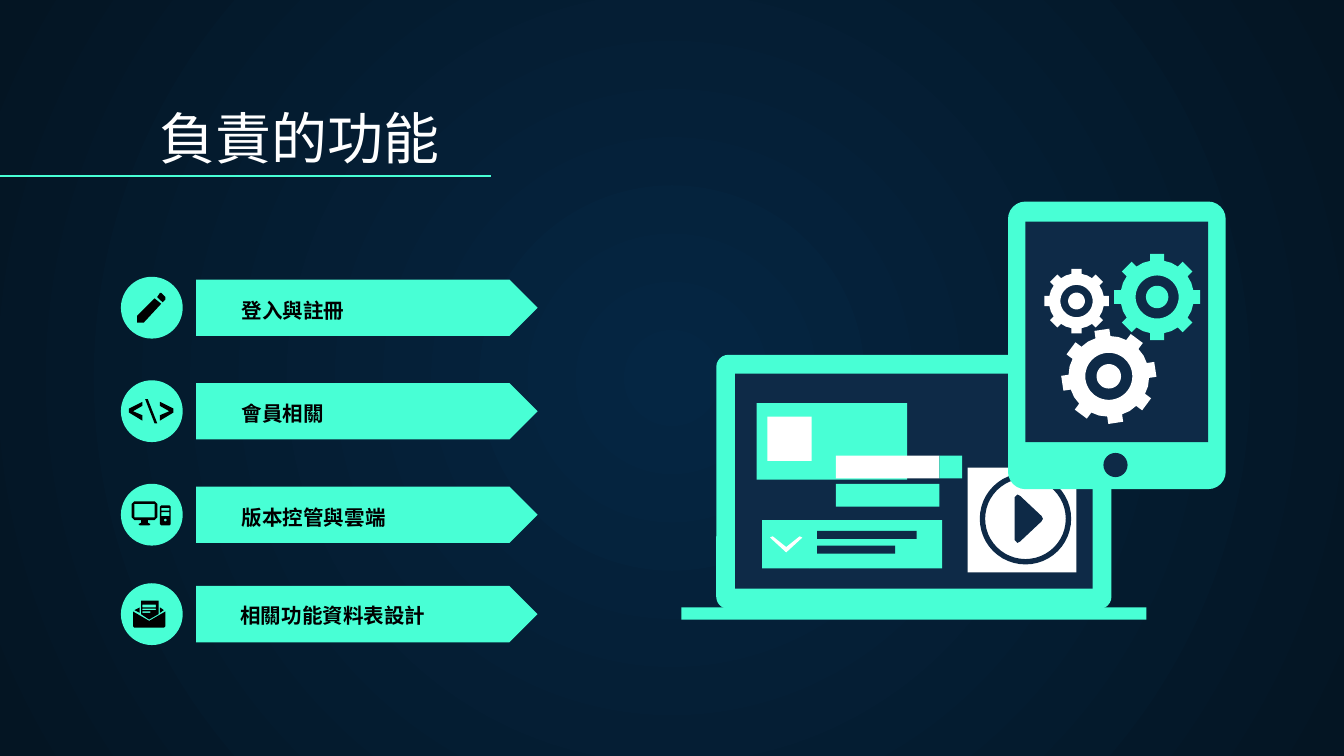
"""Build the slide listing four features beside a laptop and tablet drawing."""
from dataclasses import dataclass
from math import cos, pi, radians, sin

from lxml import etree
from pptx import Presentation
from pptx.dml.color import RGBColor
from pptx.enum.shapes import MSO_CONNECTOR, MSO_SHAPE
from pptx.enum.text import MSO_ANCHOR
from pptx.oxml.ns import qn
from pptx.util import Inches, Pt

RECT = MSO_SHAPE.RECTANGLE
ROUND = MSO_SHAPE.ROUNDED_RECTANGLE
OVAL = MSO_SHAPE.OVAL
PENTAGON = MSO_SHAPE.PENTAGON
STRAIGHT = MSO_CONNECTOR.STRAIGHT
BOTTOM = MSO_ANCHOR.BOTTOM


@dataclass(frozen=True)
class Theme:
    mint: str = "48FFD5"
    navy: str = "0E2A47"
    white: str = "FFFFFF"
    black: str = "000000"
    glow: str = "052643"
    edge: str = "041523"
    font: str = "Roboto"
    title_size: float = 30
    label_size: float = 11
    rule_width: float = 0.75


THEME = Theme()


@dataclass(frozen=True)
class Block:
    left: float
    top: float
    width: float
    height: float
    color: str
    kind: int = RECT
    radius: float = 0


@dataclass(frozen=True)
class Outline:
    loops: tuple
    color: str = THEME.black


@dataclass(frozen=True)
class Feature:
    text: str
    top: float
    icon: tuple
    label_left: float = 1.7
    label_drop: float = 0.2


def disc(x: float, y: float, radius: float, color: str) -> Block:
    return Block(x - radius, y - radius, 2 * radius, 2 * radius, color, OVAL)


def circle(x: float, y: float, radius: float) -> tuple:
    angles = [index * pi / 24 for index in range(48)]
    return tuple((x + radius * cos(angle), y + radius * sin(angle)) for angle in angles)


def panel(left: float, top: float, right: float, bottom: float, cut: float = 0) -> tuple:
    return ((left + cut, top), (right - cut, top), (right, top + cut), (right, bottom - cut),
            (right - cut, bottom), (left + cut, bottom), (left, bottom - cut),
            (left, top + cut))


def gear(x: float, y: float, radius: float, color: str, tilt: float = 0) -> Outline:
    tooth = ((0.84, -0.16), (1, -0.16), (1, 0.16), (0.84, 0.16),
             (0.86 * cos(pi / 8), 0.86 * sin(pi / 8)))
    rim = []
    for index in range(8):
        angle = index * pi / 4 + radians(tilt)
        for out, side in tooth:
            rim.append((x + radius * (out * cos(angle) - side * sin(angle)),
                        y + radius * (out * sin(angle) + side * cos(angle))))
    return Outline((tuple(rim), circle(x, y, 0.5 * radius), circle(x, y, 0.26 * radius)), color)


def paint(shape, color: str) -> None:
    shape.shadow.inherit = False
    shape.fill.solid()
    shape.fill.fore_color.rgb = RGBColor.from_string(color)
    shape.line.fill.background()


def draw_block(page, block: Block) -> None:
    shape = page.shapes.add_shape(block.kind, Inches(block.left), Inches(block.top),
                                  Inches(block.width), Inches(block.height))
    if block.kind == ROUND:
        shape.adjustments[0] = block.radius / min(block.width, block.height)
    paint(shape, block.color)


def draw_outline(page, outline: Outline) -> None:
    loops = [[(Inches(x), Inches(y)) for x, y in loop] for loop in outline.loops]
    builder = page.shapes.build_freeform(*loops[0][0])
    builder.add_line_segments(loops[0][1:], close=True)
    for loop in loops[1:]:
        builder.move_to(*loop[0])
        builder.add_line_segments(loop[1:], close=True)
    paint(builder.convert_to_shape(), outline.color)


def draw(page, parts: tuple) -> None:
    painters = {Block: draw_block, Outline: draw_outline}
    for part in parts:
        painters[type(part)](page, part)


def add_text(page, text: str, *, left: float, top: float, width: float, height: float,
             size: float, color: str, bold: bool = False) -> None:
    box = page.shapes.add_textbox(Inches(left), Inches(top), Inches(width), Inches(height))
    frame = box.text_frame
    frame.word_wrap = True
    frame.vertical_anchor = BOTTOM
    frame.margin_left = frame.margin_right = Inches(0.1)
    frame.margin_top = frame.margin_bottom = Inches(0.1)
    span = frame.paragraphs[0].add_run()
    span.text = text
    span.font.name = THEME.font
    span.font.size = Pt(size)
    span.font.bold = bold
    span.font.color.rgb = RGBColor.from_string(color)


def set_background(page) -> None:
    fill = page.background.fill
    fill.gradient()
    for stop, color in zip(fill.gradient_stops, (THEME.glow, THEME.edge)):
        stop.color.rgb = RGBColor.from_string(color)
    gradient = page.element.find(".//" + qn("a:gradFill"))
    gradient.remove(gradient.find(qn("a:lin")))
    radial = etree.SubElement(gradient, qn("a:path"), {"path": "circle"})
    etree.SubElement(radial, qn("a:fillToRect"), dict.fromkeys("ltrb", "50000"))


def add_rule(page, *, right: float, y: float) -> None:
    rule = page.shapes.add_connector(STRAIGHT, 0, Inches(y), Inches(right), Inches(y))
    rule.line.color.rgb = RGBColor.from_string(THEME.mint)
    rule.line.width = Pt(THEME.rule_width)
    etree.SubElement(rule.element.find(qn("p:spPr")), qn("a:effectLst"))


def draw_feature(page, feature: Feature) -> None:
    draw(page, (Block(1.46, feature.top, 2.54, 0.42, THEME.mint, PENTAGON),
                Block(0.9, feature.top - 0.02, 0.46, 0.46, THEME.mint, OVAL)))
    draw(page, feature.icon)
    add_text(page, feature.text, left=feature.label_left, top=feature.top + feature.label_drop,
             width=2.27, height=0.21, size=THEME.label_size, color=THEME.black, bold=True)


PENCIL = (Outline((((1.19, 2.18), (1.2, 2.18), (1.23, 2.21), (1.23, 2.23), (1.21, 2.25),
                    (1.17, 2.21)),
                   ((1.15, 2.22), (1.02, 2.35), (1.02, 2.4), (1.07, 2.4), (1.2, 2.26)))),)
BRACKET = ((1.06, 3.13), (0.96, 3.07), (0.96, 3.04), (1.06, 2.99), (1.06, 3.02),
           (0.99, 3.06), (1.06, 3.09))
CODE = (Outline((BRACKET,)),
        Outline((((1.15, 3.15), (1.08, 2.97), (1.1, 2.97), (1.17, 3.15)),)),
        Outline((tuple((2.25 - x, y) for x, y in BRACKET),)))
MONITOR = ((1, 3.73), (1.15, 3.73), (1.17, 3.75), (1.17, 3.85), (1.15, 3.87), (1.1, 3.87),
           (1.1, 3.89), (1.12, 3.9), (1.11, 3.91), (1.04, 3.91), (1.03, 3.9), (1.05, 3.89),
           (1.05, 3.87), (1, 3.87), (0.98, 3.85), (0.98, 3.75))
COMPUTER = (Outline((MONITOR, panel(1, 3.75, 1.15, 3.85))),
            Outline((panel(1.19, 3.76, 1.27, 3.91, 0.01), panel(1.2, 3.78, 1.26, 3.8),
                     panel(1.2, 3.81, 1.26, 3.84), circle(1.23, 3.87, 0.01))))
ENVELOPE = (Outline((((0.99, 4.55), (1.11, 4.62), (1.23, 4.55), (1.23, 4.66), (1.22, 4.67),
                      (1, 4.67), (0.99, 4.66)),)),
            Outline((((1.19, 4.52), (1.19, 4.56), (1.22, 4.54)),)),
            Outline((((1.04, 4.52), (1.04, 4.56), (1, 4.54)),)),
            Outline((((1.05, 4.47), (1.18, 4.47), (1.18, 4.57), (1.11, 4.61), (1.05, 4.57)),
                     panel(1.06, 4.5, 1.16, 4.52), panel(1.06, 4.53, 1.16, 4.54),
                     panel(1.06, 4.55, 1.12, 4.56))))
FEATURES = (Feature("登入與註冊", 2.08, PENCIL), Feature("會員相關", 2.85, CODE),
            Feature("版本控管與雲端", 3.62, COMPUTER),
            Feature("相關功能資料表設計", 4.36, ENVELOPE, 1.69, 0.19))
LAPTOP = (Block(5.33, 2.64, 2.94, 1.89, THEME.mint, ROUND, 0.09),
          Block(5.47, 2.78, 2.66, 1.6, THEME.navy),
          Block(5.07, 4.52, 3.46, 0.09, THEME.mint),
          Block(5.63, 3, 1.12, 0.57, THEME.mint),
          Block(5.71, 3.1, 0.33, 0.33, THEME.white),
          Block(6.02, 3.87, 0.99, 0.36, THEME.mint),
          Block(6.08, 3.95, 0.74, 0.06, THEME.navy),
          Block(6.08, 4.06, 0.58, 0.06, THEME.navy),
          Block(5.67, 3.87, 0.35, 0.36, THEME.mint),
          Outline((((5.73, 4), (5.75, 3.99), (5.85, 4.07), (5.95, 3.99), (5.97, 4),
                    (5.85, 4.11)),), THEME.white),
          Block(6.22, 3.6, 0.77, 0.17, THEME.mint),
          Block(6.22, 3.39, 0.77, 0.17, THEME.white),
          Block(6.99, 3.39, 0.17, 0.17, THEME.mint))
PLAYER = (Block(7.2, 3.48, 0.81, 0.78, THEME.white),
          Outline((circle(7.63, 3.86, 0.34), circle(7.63, 3.86, 0.3)), THEME.navy),
          Outline((((7.55, 3.7), (7.57, 3.68), (7.59, 3.69), (7.75, 3.84), (7.76, 3.86),
                    (7.75, 3.88), (7.59, 4.03), (7.57, 4.04), (7.55, 4.02)),), THEME.navy))
TABLET = (Block(7.5, 1.5, 1.62, 2.14, THEME.mint, ROUND, 0.13),
          Block(7.63, 1.65, 1.36, 1.64, THEME.navy),
          disc(8.3, 3.46, 0.09, THEME.navy),
          gear(8.61, 2.21, 0.32, THEME.mint), gear(8.01, 2.24, 0.24, THEME.white),
          gear(8.25, 2.8, 0.35, THEME.white, -8.5))


def main() -> None:
    deck = Presentation()
    deck.slide_width = Inches(10)
    deck.slide_height = deck.slide_width * 9 // 16
    page = deck.slides.add_slide(deck.slide_layouts[6])
    set_background(page)
    add_text(page, "負責的功能", left=1.09, top=0.71, width=8.57, height=0.66,
             size=THEME.title_size, color=THEME.white)
    add_rule(page, right=3.65, y=1.31)
    for feature in FEATURES:
        draw_feature(page, feature)
    draw(page, LAPTOP + PLAYER + TABLET)
    deck.save("out.pptx")


main()
